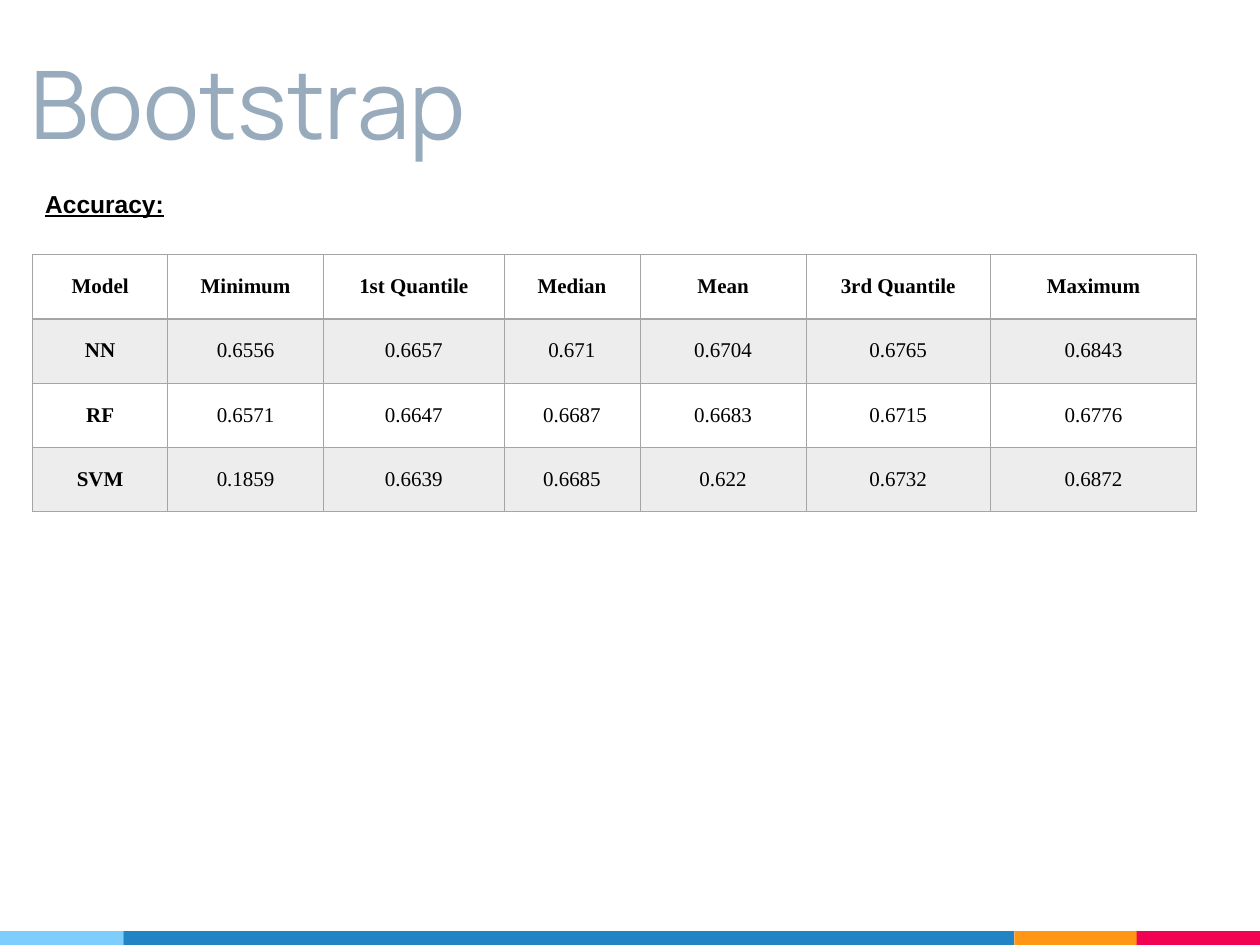
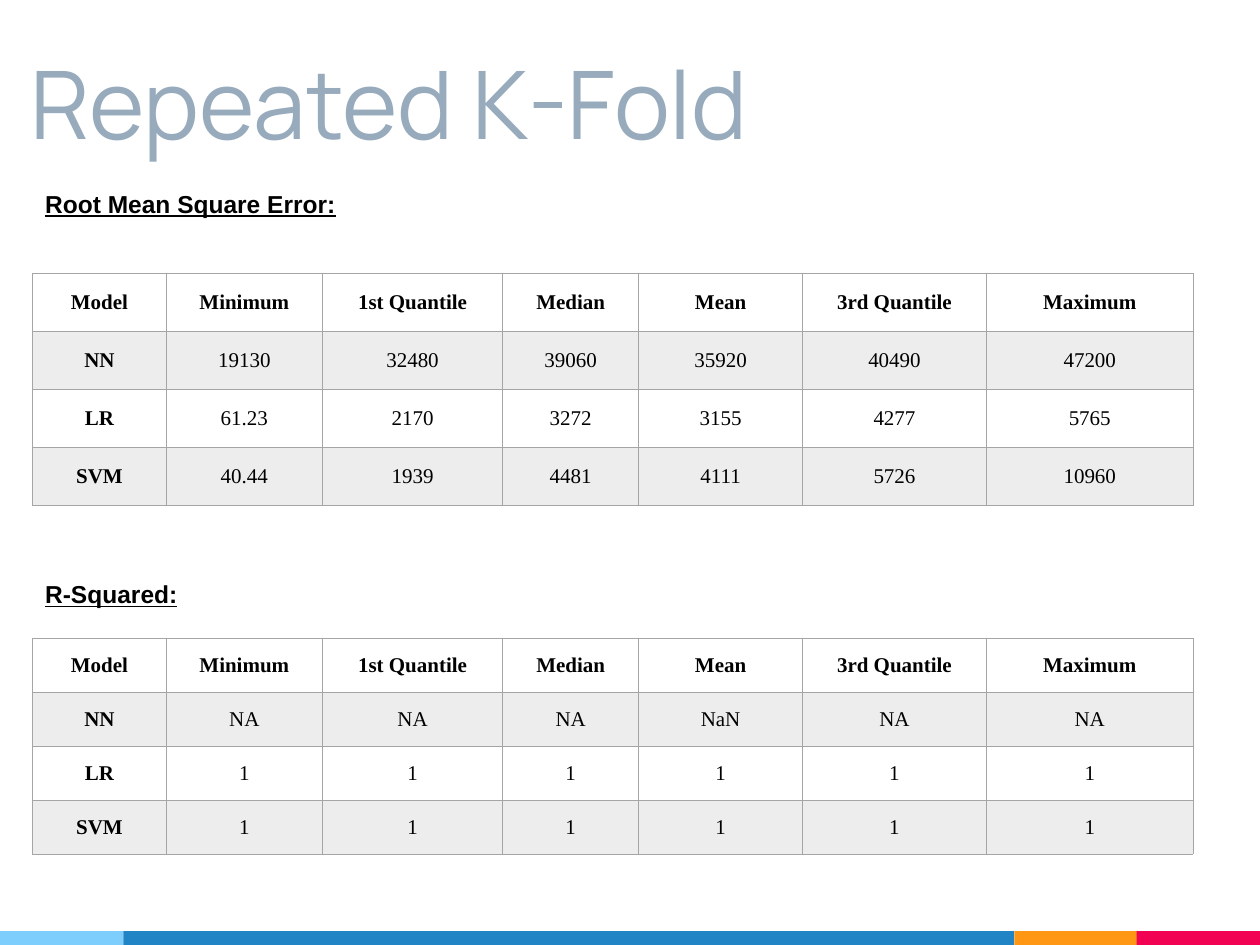
import dataclasses

import lxml.etree
import pptx
import pptx.dml.color
import pptx.enum.shapes
import pptx.enum.text
import pptx.oxml.ns
import pptx.util

Inches = pptx.util.Inches


@dataclasses.dataclass(frozen=True)
class Theme:
    title_color: str = "97ABBC"
    text_color: str = "000000"
    white: str = "FFFFFF"
    stripe: str = "EDEDED"
    border: str = "A5A5A5"
    title_font: str = "Manrope"
    heading_font: str = "Arial"
    table_font: str = "Times New Roman"
    title_size: int = 54
    heading_size: int = 14
    table_size: int = 12
    thin_line: float = 0.5
    header_line: float = 1


theme = Theme()

# Footer band: left edge, width, colour
footer_band = [
    (0, 0.98, "7ECEFD"),
    (0.98, 7.07, "2185C5"),
    (8.05, 0.98, "FF9715"),
    (9.02, 0.98, "F20253"),
]

header = ["Model", "Minimum", "1st Quantile", "Median", "Mean", "3rd Quantile", "Maximum"]
bootstrap_columns = [1.07, 1.24, 1.43, 1.08, 1.32, 1.46, 1.64]
fold_columns = [1.06, 1.24, 1.43, 1.08, 1.3, 1.46, 1.64]

# Slide title, then its sections:
# heading, heading top, table top, row height, column widths, rows
slides = [
    ("Bootstrap", [
        ("Accuracy:", 1.45, 2.02, 0.51, bootstrap_columns, [
            ["NN", "0.6556", "0.6657", "0.671", "0.6704", "0.6765", "0.6843"],
            ["RF", "0.6571", "0.6647", "0.6687", "0.6683", "0.6715", "0.6776"],
            ["SVM", "0.1859", "0.6639", "0.6685", "0.622", "0.6732", "0.6872"],
        ]),
    ]),
    ("Repeated K-Fold", [
        ("Root Mean Square Error:", 1.45, 2.17, 0.46, fold_columns, [
            ["NN", "19130", "32480", "39060", "35920", "40490", "47200"],
            ["LR", "61.23", "2170", "3272", "3155", "4277", "5765"],
            ["SVM", "40.44", "1939", "4481", "4111", "5726", "10960"],
        ]),
        ("R-Squared:", 4.55, 5.07, 0.427, fold_columns, [
            ["NN", "NA", "NA", "NA", "NaN", "NA", "NA"],
            ["LR"] + ["1"] * 6,
            ["SVM"] + ["1"] * 6,
        ]),
    ]),
]


def add_run(paragraph, text, font_name, size, color, bold=False, underline=False):
    run = paragraph.add_run()
    run.text = text
    run.font.name = font_name
    run.font.size = pptx.util.Pt(size)
    run.font.color.rgb = pptx.dml.color.RGBColor.from_string(color)
    run.font.bold = bold
    run.font.underline = underline


def add_border(cell, side, width):
    properties = cell._tc.get_or_add_tcPr()
    line = lxml.etree.SubElement(
        properties, pptx.oxml.ns.qn(f"a:ln{side}"), w=str(pptx.util.Pt(width)))
    fill = lxml.etree.SubElement(line, pptx.oxml.ns.qn("a:solidFill"))
    lxml.etree.SubElement(fill, pptx.oxml.ns.qn("a:srgbClr"), val=theme.border)


presentation = pptx.Presentation()
presentation.slide_width = Inches(10)
presentation.slide_height = Inches(7.5)

for title, sections in slides:
    slide = presentation.slides.add_slide(presentation.slide_layouts[6])

    # Footer band
    for left, width, color in footer_band:
        shape = slide.shapes.add_shape(
            pptx.enum.shapes.MSO_SHAPE.RECTANGLE,
            Inches(left), Inches(7.39), Inches(width), Inches(0.11))
        shape.shadow.inherit = False
        shape.fill.solid()
        shape.fill.fore_color.rgb = pptx.dml.color.RGBColor.from_string(color)
        shape.line.fill.background()

    # Title
    title_box = slide.shapes.add_textbox(Inches(0.14), Inches(0.11), Inches(8.34), Inches(1.25))
    frame = title_box.text_frame
    frame.word_wrap = True
    frame.vertical_anchor = pptx.enum.text.MSO_ANCHOR.BOTTOM
    frame.margin_left = frame.margin_right = Inches(0.1)
    frame.margin_top = frame.margin_bottom = Inches(0.1)
    add_run(frame.paragraphs[0], title, theme.title_font, theme.title_size, theme.title_color)

    for heading, heading_top, table_top, row_height, column_widths, rows in sections:
        # Section heading
        heading_box = slide.shapes.add_textbox(
            Inches(0.26), Inches(heading_top), Inches(7.11), Inches(0.34))
        heading_box.text_frame.word_wrap = True
        heading_box.text_frame.auto_size = pptx.enum.text.MSO_AUTO_SIZE.SHAPE_TO_FIT_TEXT
        add_run(heading_box.text_frame.paragraphs[0], heading, theme.heading_font,
                theme.heading_size, theme.text_color, bold=True, underline=True)

        # Results table
        table_rows = [header] + rows
        table = slide.shapes.add_table(
            len(table_rows), len(header), Inches(0.26), Inches(table_top),
            Inches(sum(column_widths)), Inches(row_height * len(table_rows))).table
        table.horz_banding = False
        for column, width in zip(table.columns, column_widths):
            column.width = Inches(width)

        for row_index, values in enumerate(table_rows):
            table.rows[row_index].height = Inches(row_height)
            for column_index, value in enumerate(values):
                cell = table.cell(row_index, column_index)
                cell.vertical_anchor = pptx.enum.text.MSO_ANCHOR.MIDDLE
                cell.margin_left = cell.margin_right = Inches(0.07)
                cell.margin_top = cell.margin_bottom = Inches(0.07)

                # The rule under the header row is heavier
                top_line = theme.header_line if row_index == 1 else theme.thin_line
                bottom_line = theme.header_line if row_index == 0 else theme.thin_line
                add_border(cell, "L", theme.thin_line)
                add_border(cell, "R", theme.thin_line)
                add_border(cell, "T", top_line)
                add_border(cell, "B", bottom_line)

                cell.fill.solid()
                cell.fill.fore_color.rgb = pptx.dml.color.RGBColor.from_string(
                    theme.stripe if row_index % 2 else theme.white)
                paragraph = cell.text_frame.paragraphs[0]
                paragraph.alignment = pptx.enum.text.PP_ALIGN.CENTER
                add_run(paragraph, value, theme.table_font, theme.table_size,
                        theme.text_color, bold=row_index == 0 or column_index == 0)

presentation.save("out.pptx")
